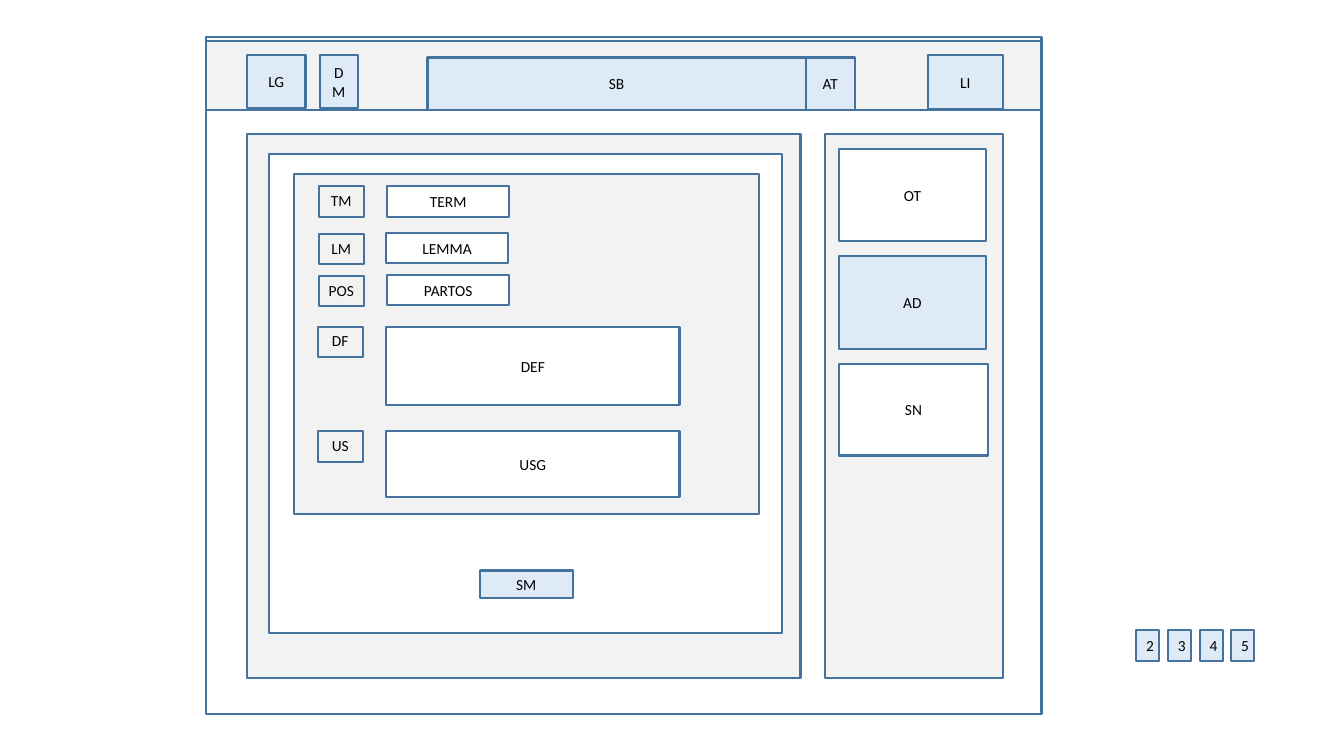
from dataclasses import dataclass

from pptx import Presentation
from pptx.dml.color import RGBColor
from pptx.enum.shapes import MSO_SHAPE
from pptx.enum.text import MSO_ANCHOR, PP_ALIGN
from pptx.slide import Slide
from pptx.util import Inches, Pt

COLORS = {
    "white": "FFFFFF",
    "gray": "F2F2F2",
    "blue": "DEEBF7",
    "outline": "43739E",
    "text": "000000",
}


@dataclass(frozen=True)
class Block:
    left: float
    top: float
    width: float
    height: float
    fill: str
    label: str = ""
    is_tag: bool = False


@dataclass(frozen=True)
class Field:
    tag: str
    tag_left: float
    tag_top: float
    value: str
    left: float
    top: float
    width: float
    height: float


def color(name: str) -> RGBColor:
    return RGBColor.from_string(COLORS[name])


def draw_block(page: Slide, block: Block) -> None:
    box = page.shapes.add_shape(
        MSO_SHAPE.RECTANGLE, Inches(block.left), Inches(block.top),
        Inches(block.width), Inches(block.height))
    box.shadow.inherit = False
    box.fill.solid()
    box.fill.fore_color.rgb = color(block.fill)
    box.line.color.rgb = color("outline")
    box.line.width = Pt(1.5)
    if not block.label:
        return
    frame = box.text_frame
    frame.word_wrap = not block.is_tag
    frame.vertical_anchor = MSO_ANCHOR.TOP if block.is_tag else MSO_ANCHOR.MIDDLE
    para = frame.paragraphs[0]
    para.alignment = PP_ALIGN.CENTER
    span = para.add_run()
    span.text = block.label
    span.font.name = "Calibri"
    span.font.size = Pt(11)
    span.font.color.rgb = color("text")


def draw_field(page: Slide, field: Field) -> None:
    draw_block(page, Block(field.left, field.top, field.width, field.height,
                           "white", field.value))
    draw_block(page, Block(field.tag_left, field.tag_top, 0.45, 0.3,
                           "gray", field.tag, is_tag=True))


# Window, header bar and nested panels
FRAMES = [
    Block(2.04, 0.37, 8.29, 6.71, "white"),
    Block(2.04, 0.41, 8.29, 0.68, "gray"),
    Block(2.45, 1.33, 5.49, 5.4, "gray"),
    Block(2.67, 1.53, 5.09, 4.75, "white"),
    Block(2.92, 1.73, 4.61, 3.37, "gray"),
    Block(8.18, 1.33, 1.77, 5.4, "gray"),
]

# Header controls, sidebar cards and submit button
CONTROLS = [
    Block(4.24, 0.57, 3.75, 0.52, "blue", "SB"),
    Block(2.45, 0.55, 0.58, 0.52, "blue", "LG"),
    Block(9.2, 0.55, 0.75, 0.53, "blue", "LI"),
    Block(7.99, 0.57, 0.49, 0.52, "blue", "AT"),
    Block(3.17, 0.55, 0.38, 0.52, "blue", "DM"),
    Block(8.32, 1.48, 1.46, 0.91, "white", "OT"),
    Block(8.32, 2.54, 1.46, 0.92, "blue", "AD"),
    Block(8.32, 3.61, 1.48, 0.91, "white", "SN"),
    Block(4.76, 5.66, 0.92, 0.27, "blue", "SM"),
]

# Form rows: a small tag and its value box
FIELDS = [
    Field("TM", 3.16, 1.85, "TERM", 3.84, 1.85, 1.21, 0.3),
    Field("LM", 3.16, 2.32, "LEMMA", 3.83, 2.31, 1.21, 0.3),
    Field("POS", 3.16, 2.74, "PARTOS", 3.84, 2.73, 1.21, 0.3),
    Field("DF", 3.15, 3.24, "DEF", 3.83, 3.24, 2.91, 0.78),
    Field("US", 3.15, 4.28, "USG", 3.83, 4.28, 2.91, 0.65),
]

# Page numbers at an equal pitch
PAGE_NUMBERS = [
    Block(11.27 + 0.314 * index, 6.25, 0.23, 0.31, "blue", number)
    for index, number in enumerate("2345")
]


def main() -> None:
    deck = Presentation()
    deck.slide_width = Inches(13.33)
    deck.slide_height = Inches(7.5)
    page = deck.slides.add_slide(deck.slide_layouts[6])
    for block in FRAMES + CONTROLS + PAGE_NUMBERS:
        draw_block(page, block)
    for field in FIELDS:
        draw_field(page, field)
    deck.save("out.pptx")


if __name__ == "__main__":
    main()
